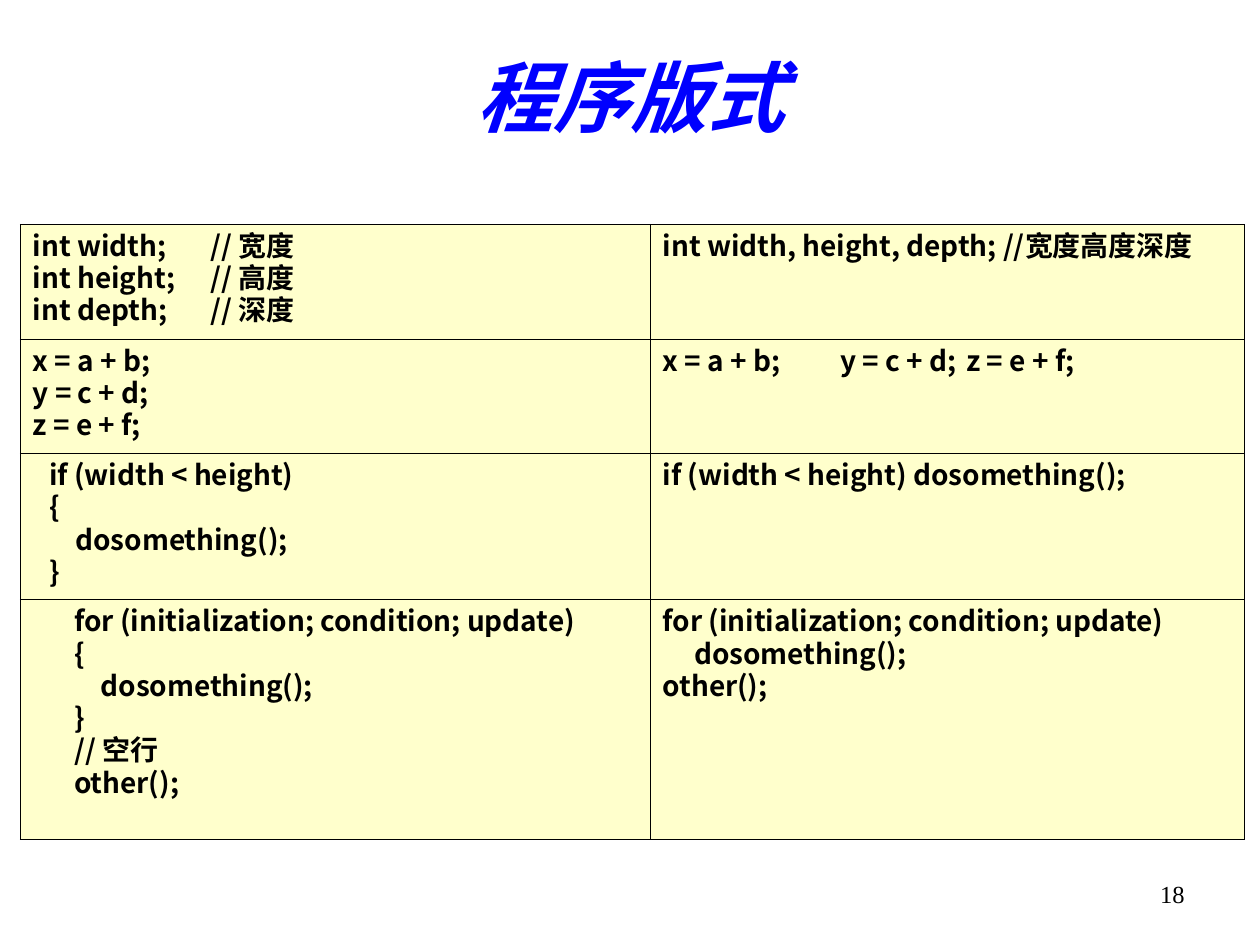
from lxml import etree
from pptx import Presentation
from pptx.dml.color import RGBColor
from pptx.enum import text
from pptx.oxml import ns
from pptx.util import Inches, Pt

BLACK = RGBColor(0, 0, 0)
BLUE = RGBColor(0, 0, 255)
CREAM = RGBColor(0xFF, 0xFF, 0xCC)
SANS = "Noto Sans CJK SC"
SERIF = "Times New Roman"
MARGIN = 0.41


def add(parent, tag, **attrs):
    """Append a DrawingML element."""
    node = etree.SubElement(parent, ns.qn("a:" + tag))
    for key, val in attrs.items():
        node.set(key, str(val))
    return node


def style(run, face, size, color, **flags):
    font = run.font
    font.color.rgb = color
    for key, val in dict(name=face, size=Pt(size), **flags).items():
        setattr(font, key, val)
    add(font._element, "ea", typeface=SANS)


prs = Presentation()
prs.slide_width, prs.slide_height = Inches(10), Inches(7.5)
prs.element.set("firstSlideNum", "18")
slide = prs.slides.add_slide(prs.slide_layouts[5])

# Title
title = slide.shapes.title
place = dict(left=0.74, top=0.36, width=8.53, height=0.92)
for key, val in place.items():
    setattr(title, key, Inches(val))
frame = title.text_frame
frame.text = "程序版式"
frame.auto_size = text.MSO_AUTO_SIZE.NONE
frame.vertical_anchor = text.MSO_ANCHOR.MIDDLE
para = frame.paragraphs[0]
para.alignment = text.PP_ALIGN.CENTER
para.line_spacing = 0.85
run = para.runs[0]
style(run, SERIF, 44, BLUE, bold=True, italic=True)
effects = etree.Element(ns.qn("a:effectLst"))
shadow = add(effects, "outerShdw", dist=Inches(0.03), dir=2700000)
add(shadow, "srgbClr", val=BLACK)
run.font._element.find(ns.qn("a:solidFill")).addnext(effects)

# Code table: each cell has a first-line indent, tab stops and lines;
# a line given as a pair carries its own extra indent.
widths = [5, 4.72]
heights = [0.91, 0.91, 1.16, 1.9]
loop = "for (initialization; condition; update)"
call = "dosomething();"
cells = [
    [(-0.41, [1], ["int width;\t// 宽度", "int height;\t// 高度",
                   "int depth;\t// 深度"]),
     (-0.41, [], ["int width, height, depth; //宽度高度深度"])],
    [(-0.41, [], ["x = a + b;", "y = c + d;", "z = e + f;"]),
     (-0.41, [0.67, 1.69], ["x = a + b;\ty = c + d;\tz = e + f;"])],
    [(-0.28, [], ["if (width < height)", "{", (0.21, call), "}"]),
     (-0.41, [], ["if (width < height) " + call])],
    [(-0.08, [], [loop, "{", (0.21, call), "}", "// 空行", "other();"]),
     (-0.41, [], [loop, (0.25, call), "other();"])],
]
table = slide.shapes.add_table(
    len(heights), len(widths), Inches(0.16), Inches(1.78),
    Inches(sum(widths)), Inches(sum(heights))).table
table.first_row = table.horz_banding = False
for col, width in zip(table.columns, widths):
    col.width = Inches(width)
for row, height, items in zip(table.rows, heights, cells):
    row.height = Inches(height)
    for cell, (first, stops, lines) in zip(row.cells, items):
        props = cell._tc.get_or_add_tcPr()
        for side in ("lnL", "lnR", "lnT", "lnB"):
            edge = add(props, side, w=Pt(0.45))
            add(add(edge, "solidFill"), "srgbClr", val=BLACK)
        cell.fill.solid()
        cell.fill.fore_color.rgb = CREAM
        frame = cell.text_frame
        for num, line in enumerate(lines):
            extra, words = line if isinstance(line, tuple) else (0, line)
            para = frame.add_paragraph() if num else frame.paragraphs[0]
            para.line_spacing = 0.8
            props = para._p.get_or_add_pPr()
            props.set("marL", str(Inches(MARGIN)))
            props.set("indent", str(Inches(first + extra)))
            if stops:
                tabs = add(props, "tabLst")
                for stop in stops:
                    add(tabs, "tab", pos=Inches(stop), algn="l")
            run = para.add_run()
            run.text = words
            style(run, SANS, 16, BLACK, bold=True)

# Slide number, as a live field
box = slide.shapes.add_textbox(
    Inches(7.17), Inches(6.93), Inches(2.33), Inches(0.52))
box.text_frame.word_wrap = True
para = box.text_frame.paragraphs[0]
para.alignment = text.PP_ALIGN.RIGHT
run = para.add_run()
run.text = "18"
style(run, SERIF, 14, BLACK)
field = add(para._p, "fld", type="slidenum",
            id="{B6F15528-21DE-4FAA-801E-634DDDAF4B2B}")
field.extend(list(run._r))
para._p.remove(run._r)

prs.save("out.pptx")
